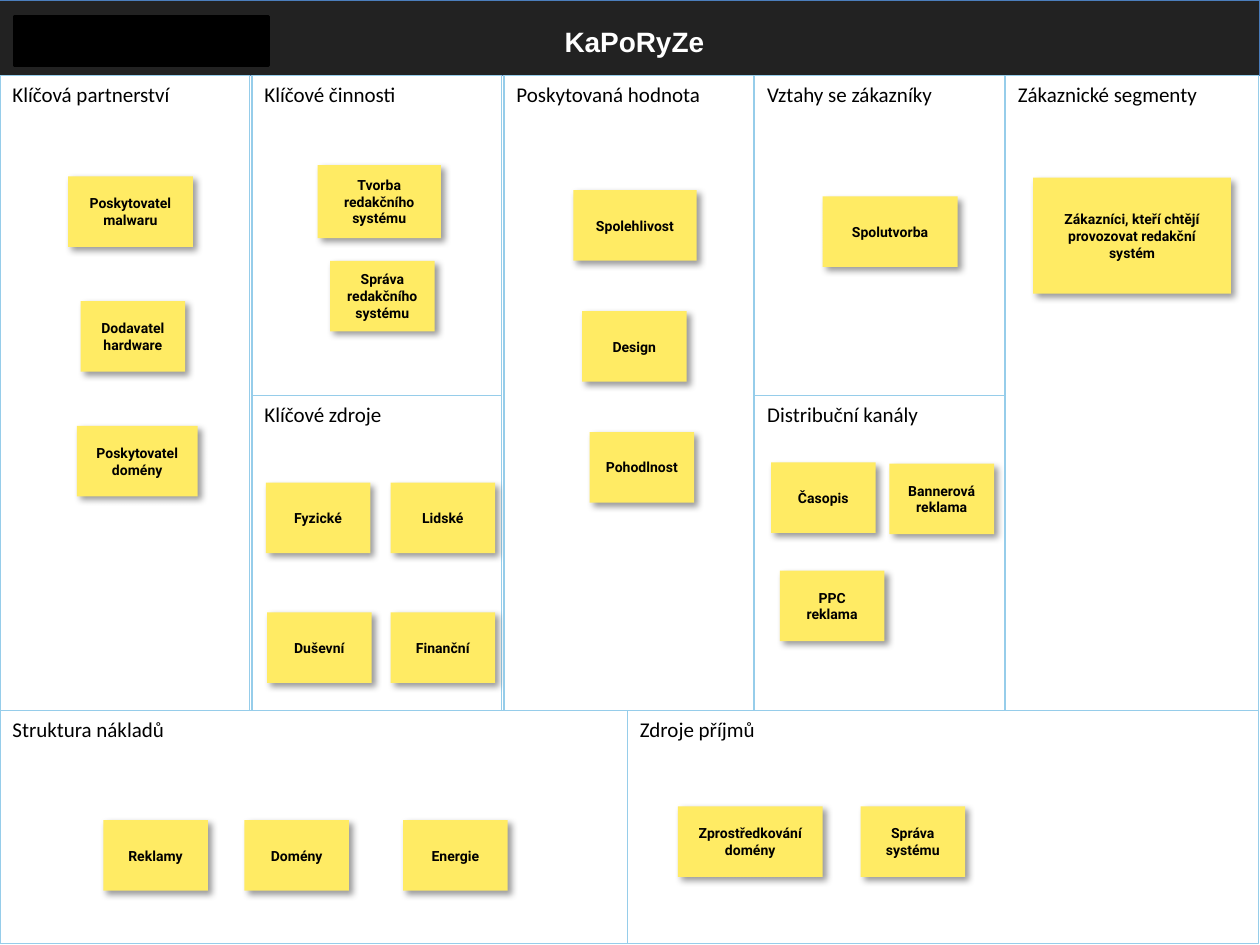
from dataclasses import dataclass

from lxml.etree import SubElement
from pptx import Presentation
from pptx.dml.color import RGBColor
from pptx.enum.shapes import MSO_SHAPE
from pptx.enum.text import MSO_ANCHOR, PP_ALIGN
from pptx.oxml.ns import qn
from pptx.util import Inches, Pt


@dataclass(frozen=True)
class Theme:
    header: str = "222222"
    header_line: str = "4B7EBC"
    panel_line: str = "96CDEA"
    note: str = "FFEB64"
    white: str = "FFFFFF"
    black: str = "000000"
    title_size: float = 16
    heading_size: float = 12
    note_size: float = 8


theme = Theme()

# Canvas grid: five columns, upper and lower halves, and a footer row
COLUMNS = (0, 2, 4, 5.99, 7.98)
TOP, MIDDLE, FOOTER = 0.6, 3.14, 5.64
WIDTH, LAST_WIDTH = 1.98, 2.01
FULL, UPPER, LOWER, FOOTER_HEIGHT = 5.04, 2.54, 2.5, 1.85
NOTE_WIDTH, NOTE_HEIGHT = 0.83, 0.56

# Heading, panel position, then notes: text, left, top and, if unusual, width and height
panels = [
    ("Klíčová partnerství", (COLUMNS[0], TOP, WIDTH, FULL), [
        ("Poskytovatel malwaru", 0.54, 1.4, 0.99),
        ("Dodavatel hardware", 0.64, 2.39),
        ("Poskytovatel domény", 0.61, 3.38, 0.96),
    ]),
    ("Klíčové činnosti", (COLUMNS[1], TOP, WIDTH, UPPER), [
        ("Tvorba redakčního systému", 2.52, 1.31, 0.98, 0.58),
        ("Správa redakčního systému", 2.62, 2.07),
    ]),
    ("Klíčové zdroje", (COLUMNS[1], MIDDLE, WIDTH, LOWER), [
        ("Fyzické", 2.11, 3.83),
        ("Lidské", 3.1, 3.83),
        ("Duševní", 2.12, 4.86),
        ("Finanční", 3.1, 4.86),
    ]),
    ("Poskytovaná hodnota", (COLUMNS[2], TOP, WIDTH, FULL), [
        ("Spolehlivost", 4.55, 1.51, 0.98),
        ("Design", 4.62, 2.47),
        ("Pohodlnost", 4.68, 3.43),
    ]),
    ("Vztahy se zákazníky", (COLUMNS[3], TOP, WIDTH, UPPER), [
        ("Spolutvorba", 6.53, 1.56, 1.07),
    ]),
    ("Distribuční kanály", (COLUMNS[3], MIDDLE, WIDTH, LOWER), [
        ("Časopis", 6.12, 3.67),
        ("Bannerová reklama", 7.06, 3.68),
        ("PPC reklama", 6.19, 4.53),
    ]),
    ("Zákaznické segmenty", (COLUMNS[4], TOP, LAST_WIDTH, FULL), [
        ("Zákazníci, kteří chtějí provozovat redakční systém", 8.2, 1.41, 1.57, 0.92),
    ]),
    ("Struktura nákladů", (0, FOOTER, 4.98, FOOTER_HEIGHT), [
        ("Reklamy", 0.82, 6.51),
        ("Domény", 1.94, 6.51),
        ("Energie", 3.2, 6.51),
    ]),
    ("Zdroje příjmů", (4.98, FOOTER, 5.01, FOOTER_HEIGHT), [
        ("Zprostředkování domény", 5.38, 6.4, 1.15),
        ("Správa systému", 6.83, 6.4),
    ]),
]

deck = Presentation()
deck.slide_width, deck.slide_height = Inches(10), Inches(7.5)
page = deck.slides.add_slide(deck.slide_layouts[5])


def add_box(left, top, width, height, fill=None, line=None, line_width=0.75):
    box = page.shapes.add_shape(
        MSO_SHAPE.RECTANGLE, Inches(left), Inches(top), Inches(width), Inches(height))
    box.shadow.inherit = False
    if fill:
        box.fill.solid()
        box.fill.fore_color.rgb = RGBColor.from_string(fill)
    else:
        box.fill.background()
    if line:
        box.line.color.rgb = RGBColor.from_string(line)
        box.line.width = Pt(line_width)
    else:
        box.line.fill.background()
    return box


def write(box, text, font, size, color, bold=False, align=PP_ALIGN.CENTER, anchor=MSO_ANCHOR.MIDDLE):
    frame = box.text_frame
    frame.word_wrap = True
    frame.vertical_anchor = anchor
    frame.text = text
    para = frame.paragraphs[0]
    para.alignment = align
    para.font.name, para.font.size, para.font.bold = font, Pt(size), bold
    para.font.color.rgb = RGBColor.from_string(color)


# Header bar behind the title
title = page.shapes.title
title.left, title.top, title.width, title.height = map(Inches, (1.69, 0.13, 6.69, 0.39))
write(title, "KaPoRyZe", "Arial", theme.title_size, theme.white, bold=True)
header = add_box(-0.02, 0, 10.02, TOP, theme.header, theme.header_line)
title._element.addprevious(header._element)

for heading, place, notes in panels:
    panel = add_box(*place, line=theme.panel_line)
    write(panel, heading, "Calibri", theme.heading_size, theme.black,
          align=PP_ALIGN.LEFT, anchor=MSO_ANCHOR.TOP)

    for text, left, top, *size in notes:
        width, height = (*size, *(NOTE_WIDTH, NOTE_HEIGHT)[len(size):])
        note = add_box(left, top, width, height, theme.note)
        note.text_frame.margin_left = note.text_frame.margin_right = Inches(0.11)
        write(note, text, "Roboto", theme.note_size, theme.black, bold=True)

        effects = note._element.spPr.find(qn("a:effectLst"))
        shadow = SubElement(effects, qn("a:outerShdw"), blurRad=str(Pt(4)), dist=str(Pt(3)),
                            dir=str(45 * 60000), algn="tl", rotWithShape="0")
        color = SubElement(shadow, qn("a:srgbClr"), val=theme.black)
        SubElement(color, qn("a:alpha"), val="40000")

add_box(0.12, 0.13, 2.01, 0.39, theme.black, theme.black, 2)

deck.save("out.pptx")
